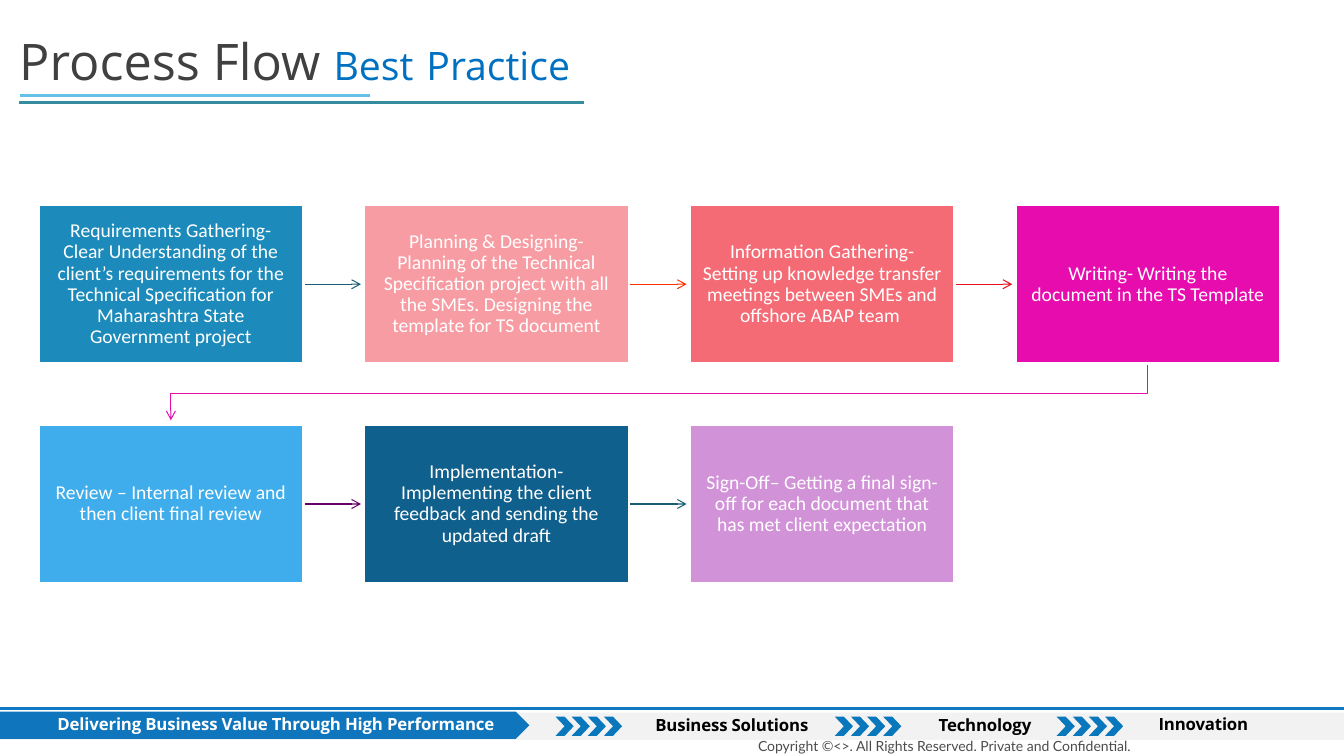
import pptx
import pptx.dml.color
import pptx.enum.shapes
import pptx.enum.text
import pptx.oxml
import pptx.oxml.ns
import pptx.util

Inches = pptx.util.Inches
Pt = pptx.util.Pt
RGB = pptx.dml.color.RGBColor.from_string
SHAPE = pptx.enum.shapes.MSO_SHAPE
STRAIGHT = pptx.enum.shapes.MSO_CONNECTOR.STRAIGHT
ANCHOR = pptx.enum.text.MSO_ANCHOR
CENTER = pptx.enum.text.PP_ALIGN.CENTER

COLORS = {
    "white": "FFFFFF", "black": "000000", "charcoal": "404040", "gray": "4C4C4C",
    "band": "F2F2F2", "rule": "1079C2", "banner": "0F75BC", "chevron": "0977BC",
    "title blue": "0070C0", "teal": "348C9E", "light blue": "65C0E8",
    "blue": "1C8ABA", "salmon": "F89CA3", "coral": "F56B75", "magenta": "E60CAD",
    "sky": "3FADEB", "navy": "0F608D", "lilac": "D192D8",
    "petrol": "175D76", "orange": "FF3300", "red": "E6101F", "purple": "660066",
}

deck = pptx.Presentation()
deck.slide_width, deck.slide_height = Inches(13.33), Inches(7.5)
page = deck.slides.add_slide(deck.slide_layouts[6])


def write(frame, spans, margins, **paragraph_format):
    """Fill a text frame with one paragraph of (text, size, font, color, bold) spans."""
    frame.word_wrap = True
    for side, margin in zip(("left", "top", "right", "bottom"), margins):
        setattr(frame, "margin_" + side, Inches(margin))
    para = frame.paragraphs[0]
    for name, value in paragraph_format.items():
        setattr(para, name, value)
    for text, size, font, color, bold in spans:
        span = para.add_run()
        span.text = text
        span.font.color.rgb = RGB(COLORS[color])
        for name, value in {"size": Pt(size), "name": font, "bold": bold}.items():
            setattr(span.font, name, value)


def style_line(shape, color, width, arrow=False):
    """Color a line, drop its shadow and optionally end it with an arrowhead."""
    shape.line.color.rgb = RGB(COLORS[color])
    shape.line.width = Pt(width)
    properties = shape._element.spPr
    if arrow:
        head = pptx.oxml.parse_xml(
            '<a:tailEnd %s type="arrow"/>' % pptx.oxml.ns.nsdecls("a"))
        shape.line._get_or_add_ln().append(head)
    if properties.find(pptx.oxml.ns.qn("a:effectLst")) is None:
        properties.append(pptx.oxml.parse_xml(
            "<a:effectLst %s/>" % pptx.oxml.ns.nsdecls("a")))


# Footer band, banner and chevrons
footer_shapes = [
    (SHAPE.RECTANGLE, 0, 7.07, 13.33, 0.27, "band"),
    (SHAPE.PENTAGON, 0, 7.06, 5.25, 0.27, "banner"),
]
for start in (5.51, 8.28, 10.48):
    for step in range(4):
        footer_shapes.append(
            (SHAPE.CHEVRON, start + 0.16 * step, 7.11, 0.18, 0.19, "chevron"))
for kind, left, top, width, height, color in footer_shapes:
    shape = page.shapes.add_shape(
        kind, Inches(left), Inches(top), Inches(width), Inches(height))
    shape.shadow.inherit = False
    shape.fill.solid()
    shape.fill.fore_color.rgb = RGB(COLORS[color])
    shape.line.fill.background()

# Footer texts
for text, left, top, width, color in (
    ("Delivering Business Value Through High Performance", 0.57, 7.07, 5.66, "white"),
    ("Business Solutions", 6.5, 7.08, 2, "black"),
    ("Technology", 9.31, 7.08, 1.36, "black"),
    ("Innovation", 11.49, 7.07, 1.18, "black"),
):
    box = page.shapes.add_textbox(
        Inches(left), Inches(top), Inches(width), Inches(0.22))
    write(box.text_frame, [(text, 12, "Open Sans", color, True)],
          (0, 0.01, 0, 0), space_before=Pt(1))
    box.text_frame.paragraphs[0].runs[0].font._element.set("spc", "-10")
box = page.shapes.add_textbox(Inches(7.42), Inches(7.27), Inches(6.07), Inches(0.27))
write(box.text_frame,
      [("Copyright ©<>. All Rights Reserved. Private and Confidential.",
        10, "Lato", "gray", False)], (0.1, 0.05, 0.1, 0.05))

# Title
box = page.shapes.add_textbox(Inches(0.19), Inches(0.21), Inches(9.21), Inches(0.78))
box.text_frame.vertical_anchor = ANCHOR.MIDDLE
write(box.text_frame, [
    ("Process Flow ", 36, "Open Sans", "charcoal", False),
    ("Best", 28, "Open Sans", "title blue", False),
    (" ", 36, "Open Sans", "charcoal", False),
    ("Practice", 28, "Open Sans", "title blue", False),
], (0, 0.07, 0, 0.07))

# Footer rule and title underlines
for left, right, y, color in (
    (0, 13.33, 7.03, "rule"),
    (0.19, 5.79, 1.02, "teal"),
    (0.2, 3.67, 0.95, "light blue"),
):
    rule = page.shapes.add_connector(
        STRAIGHT, Inches(left), Inches(y), Inches(right), Inches(y))
    style_line(rule, color, 2.25)

# Process steps: text, fill, color of the arrow that leaves the step
STEPS = [
    ("Requirements Gathering- Clear Understanding of the client’s requirements for "
     "the Technical Specification for Maharashtra State Government project",
     "blue", "petrol"),
    ("Planning & Designing- Planning of the Technical Specification project with all "
     "the SMEs. Designing the template for TS document", "salmon", "orange"),
    ("Information Gathering- Setting up knowledge transfer meetings between SMEs and "
     "offshore ABAP team ", "coral", "red"),
    ("Writing- Writing the document in the TS Template", "magenta", "magenta"),
    ("Review – Internal review and then client final review", "sky", "purple"),
    ("Implementation- Implementing the client feedback and sending the updated draft",
     "navy", "petrol"),
    ("Sign-Off– Getting a final sign-off for each document that has met client "
     "expectation", "lilac", None),
]
COLUMNS, STEP_WIDTH, STEP_HEIGHT = 4, 2.63, 1.58
LEFT, TOP, COLUMN_PITCH, ROW_PITCH = 0.38, 2.03, 3.23, 2.18

for index, (text, fill, arrow_color) in enumerate(STEPS):
    row, column = divmod(index, COLUMNS)
    left, top = LEFT + column * COLUMN_PITCH, TOP + row * ROW_PITCH
    right, middle, bottom = left + STEP_WIDTH, top + STEP_HEIGHT / 2, top + STEP_HEIGHT
    ends_row = column == COLUMNS - 1
    arrow = None
    if ends_row:
        # Elbow arrow back to the first step of the next row
        center, first_center = left + STEP_WIDTH / 2, LEFT + STEP_WIDTH / 2
        outline = page.shapes.build_freeform(
            Inches(center), Inches(bottom), scale=1.0)
        outline.add_line_segments(
            [(Inches(x), Inches(y)) for x, y in (
                (center, 3.9), (first_center, 3.9), (first_center, 4.17))],
            close=False)
        arrow = outline.convert_to_shape()
        arrow.fill.background()
    elif arrow_color:
        arrow = page.shapes.add_connector(
            STRAIGHT, Inches(right), Inches(middle),
            Inches(right + 0.57), Inches(middle))
    if arrow:
        style_line(arrow, arrow_color, 0.75, arrow=True)

    step = page.shapes.add_shape(
        SHAPE.RECTANGLE, Inches(left), Inches(top),
        Inches(STEP_WIDTH), Inches(STEP_HEIGHT))
    step.shadow.inherit = False
    step.fill.solid()
    step.fill.fore_color.rgb = RGB(COLORS[fill])
    style_line(step, "white", 2)
    step.text_frame.vertical_anchor = ANCHOR.MIDDLE
    write(step.text_frame, [(text, 14, "Calibri", "white", False)],
          (0.11, 0.11, 0.11, 0.11), alignment=CENTER, line_spacing=0.9)
    if arrow and not ends_row:
        arrow.begin_connect(step, 3)

deck.save("out.pptx")
